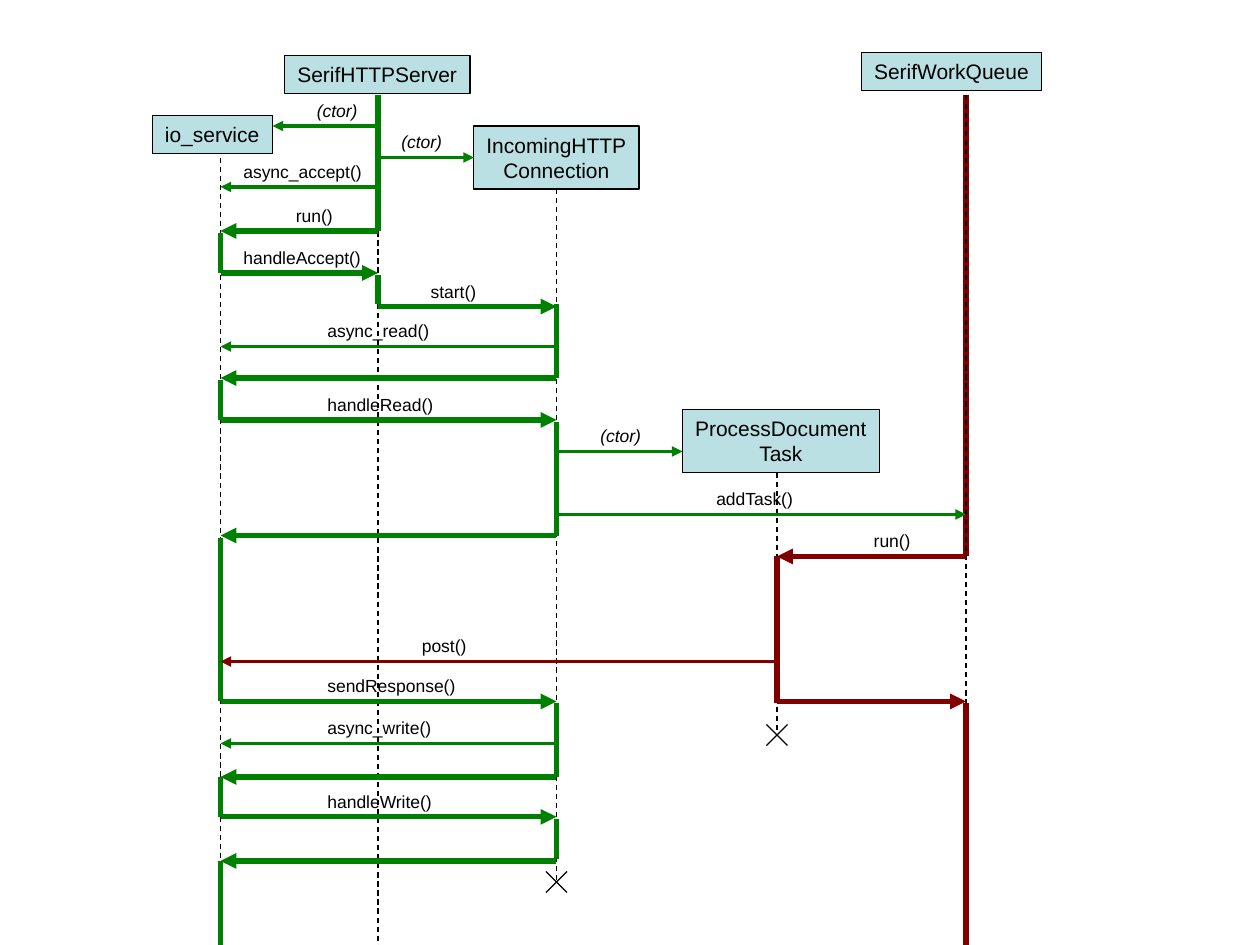
import pptx
import pptx.util
import pptx.dml.color
import pptx.enum.dml
import pptx.enum.shapes
import pptx.enum.text
import pptx.oxml

Pt = pptx.util.Pt

COLORS = {"text": "000000", "box": "BBE0E3", "main": "008000", "worker": "800000"}
FONT = "Arial"
BOTTOM = 540
THIN, SIGNAL, CONTROL = 0.75, 2, 3
LABEL_HEIGHT, LABEL_RISE = 19.4, 18.4
CROSS_HALF = 6

LIFELINE_X = {"service": 126, "server": 216, "connection": 318, "task": 444, "queue": 552}

BOXES = {
    "service": (["io_service"], 87, 66, 68.6, 21.8),
    "server": (["SerifHTTPServer"], 162.6, 31.7, 106, 21.8),
    "connection": (["IncomingHTTP", "Connection"], 270.8, 72, 94.4, 36),
    "task": (["ProcessDocument", "Task"], 390, 234, 112.5, 36),
    "queue": (["SerifWorkQueue"], 492.2, 30, 103, 21.8),
}

EARLY_ACTIVATIONS = [("queue", 54, 318, "worker")]

LIFELINES = {
    "service": (90, BOTTOM),
    "server": (60, BOTTOM),
    "connection": (108, 504),
    "task": (270, 420),
    "queue": (54, 408),
}

ACTIVATIONS = [
    ("server", 54, 132, "main"),
    ("service", 133.2, 156, "main"),
    ("server", 157.2, 174, "main"),
    ("connection", 174, 216, "main"),
    ("service", 217.2, 240, "main"),
    ("connection", 241.2, 306, "main"),
    ("service", 307.2, 400.8, "main"),
    ("task", 318, 402, "worker"),
    ("connection", 402, 444, "main"),
    ("queue", 402, BOTTOM, "worker"),
    ("service", 444, 466.8, "main"),
    ("connection", 468, 491, "main"),
    ("service", 492, BOTTOM, "main"),
]

CONSTRUCTIONS = [
    ("server", 155.8, 72, 174, 38.6),
    ("server", 270.8, 90, 222.3, 38.6),
    ("connection", 390, 258, 336, 38.6),
]

MESSAGES = [
    ("server", "service", 106.8, SIGNAL, "main", "async_accept()", 132, 83),
    ("server", "service", 132, CONTROL, "main", "run()", 162, 36.4),
    ("service", "server", 156, CONTROL, "main", "handleAccept()", 132, 82.4),
    ("server", "connection", 175.2, CONTROL, "main", "start()", 239, 41.4),
    ("connection", "service", 198, SIGNAL, "main", "async_read()", 180, 73.6),
    ("connection", "service", 216, CONTROL, "main", None, 0, 0),
    ("service", "connection", 240, CONTROL, "main", "handleRead()", 180, 76),
    ("connection", "queue", 294, SIGNAL, "main", "addTask()", 402.2, 60),
    ("connection", "service", 306, CONTROL, "main", None, 0, 0),
    ("queue", "task", 318, CONTROL, "worker", "run()", 492.2, 36.4),
    ("task", "service", 378, SIGNAL, "worker", "post()", 234, 41.6),
    ("task", "queue", 400.8, CONTROL, "worker", None, 0, 0),
    ("service", "connection", 400.8, CONTROL, "main", "sendResponse()", 180, 89),
    ("connection", "service", 424.8, SIGNAL, "main", "async_write()", 180, 74.4),
    ("connection", "service", 444, CONTROL, "main", None, 0, 0),
    ("service", "connection", 466.8, CONTROL, "main", "handleWrite()", 180, 75.2),
    ("connection", "service", 492, CONTROL, "main", None, 0, 0),
]

ENDINGS = [("connection", 504), ("task", 420)]


def rgb(name):
    return pptx.dml.color.RGBColor.from_string(COLORS[name])


def add_line(shapes, x1, y1, x2, y2, color="text", weight=THIN, dashed=False, arrow=False):
    line = shapes.add_connector(
        pptx.enum.shapes.MSO_CONNECTOR.STRAIGHT, Pt(x1), Pt(y1), Pt(x2), Pt(y2))
    line.line.color.rgb = rgb(color)
    line.line.width = Pt(weight)
    if dashed:
        line.line.dash_style = pptx.enum.dml.MSO_LINE.DASH
    properties = line._element.spPr
    if arrow:
        properties.get_or_add_ln().append(pptx.oxml.parse_xml(
            '<a:tailEnd xmlns:a="http://schemas.openxmlformats.org/drawingml/2006/main"'
            ' type="triangle"/>'))
    properties.append(pptx.oxml.parse_xml(
        '<a:effectLst xmlns:a="http://schemas.openxmlformats.org/drawingml/2006/main"/>'))
    return line


def write_text(shape, lines, size, italic=False, align=pptx.enum.text.PP_ALIGN.LEFT):
    frame = shape.text_frame
    frame.word_wrap = False
    frame.auto_size = pptx.enum.text.MSO_AUTO_SIZE.SHAPE_TO_FIT_TEXT
    frame.text = "\n".join(lines)
    for para in frame.paragraphs:
        para.alignment = align
        para.font.name = FONT
        para.font.size = Pt(size)
        para.font.italic = italic
        para.font.color.rgb = rgb("text")


def add_box(shapes, lines, left, top, width, height):
    box = shapes.add_shape(
        pptx.enum.shapes.MSO_SHAPE.RECTANGLE, Pt(left), Pt(top), Pt(width), Pt(height))
    box.shadow.inherit = False
    box.fill.solid()
    box.fill.fore_color.rgb = rgb("box")
    box.line.color.rgb = rgb("text")
    box.line.width = Pt(THIN)
    write_text(box, lines, 12, align=pptx.enum.text.PP_ALIGN.CENTER)
    return box


def add_label(shapes, text, left, y, width, italic=False):
    label = shapes.add_textbox(Pt(left), Pt(y - LABEL_RISE), Pt(width), Pt(LABEL_HEIGHT))
    write_text(label, [text], 10, italic)


def add_activations(shapes, activations):
    for actor, top, bottom, color in activations:
        x = LIFELINE_X[actor]
        add_line(shapes, x, top, x, bottom, color, CONTROL)


def main():
    deck = pptx.Presentation()
    deck.slide_width, deck.slide_height = Pt(720), Pt(BOTTOM)
    shapes = deck.slides.add_slide(deck.slide_layouts[6]).shapes

    add_activations(shapes, EARLY_ACTIVATIONS)
    lifelines = {}
    for actor, (top, bottom) in LIFELINES.items():
        x = LIFELINE_X[actor]
        lifelines[actor] = add_line(shapes, x, top, x, bottom, dashed=True)
    boxes = {actor: add_box(shapes, *content) for actor, content in BOXES.items()}
    lifelines["connection"].begin_connect(boxes["connection"], 2)
    add_activations(shapes, ACTIVATIONS)

    calls = []
    for sender, target_x, y, left, width in CONSTRUCTIONS:
        calls.append(add_line(
            shapes, LIFELINE_X[sender], y, target_x, y, "main", SIGNAL, arrow=True))
        add_label(shapes, "(ctor)", left, y, width, italic=True)
    calls[1].end_connect(boxes["connection"], 1)

    for sender, receiver, y, weight, color, text, left, width in MESSAGES:
        add_line(shapes, LIFELINE_X[sender], y, LIFELINE_X[receiver], y,
                 color, weight, arrow=True)
        if text:
            add_label(shapes, text, left, y, width)

    for actor, y in ENDINGS:
        x = LIFELINE_X[actor]
        for rise in (-CROSS_HALF, CROSS_HALF):
            add_line(shapes, x - CROSS_HALF, y + rise, x + CROSS_HALF, y - rise)

    deck.save("out.pptx")


if __name__ == "__main__":
    main()
